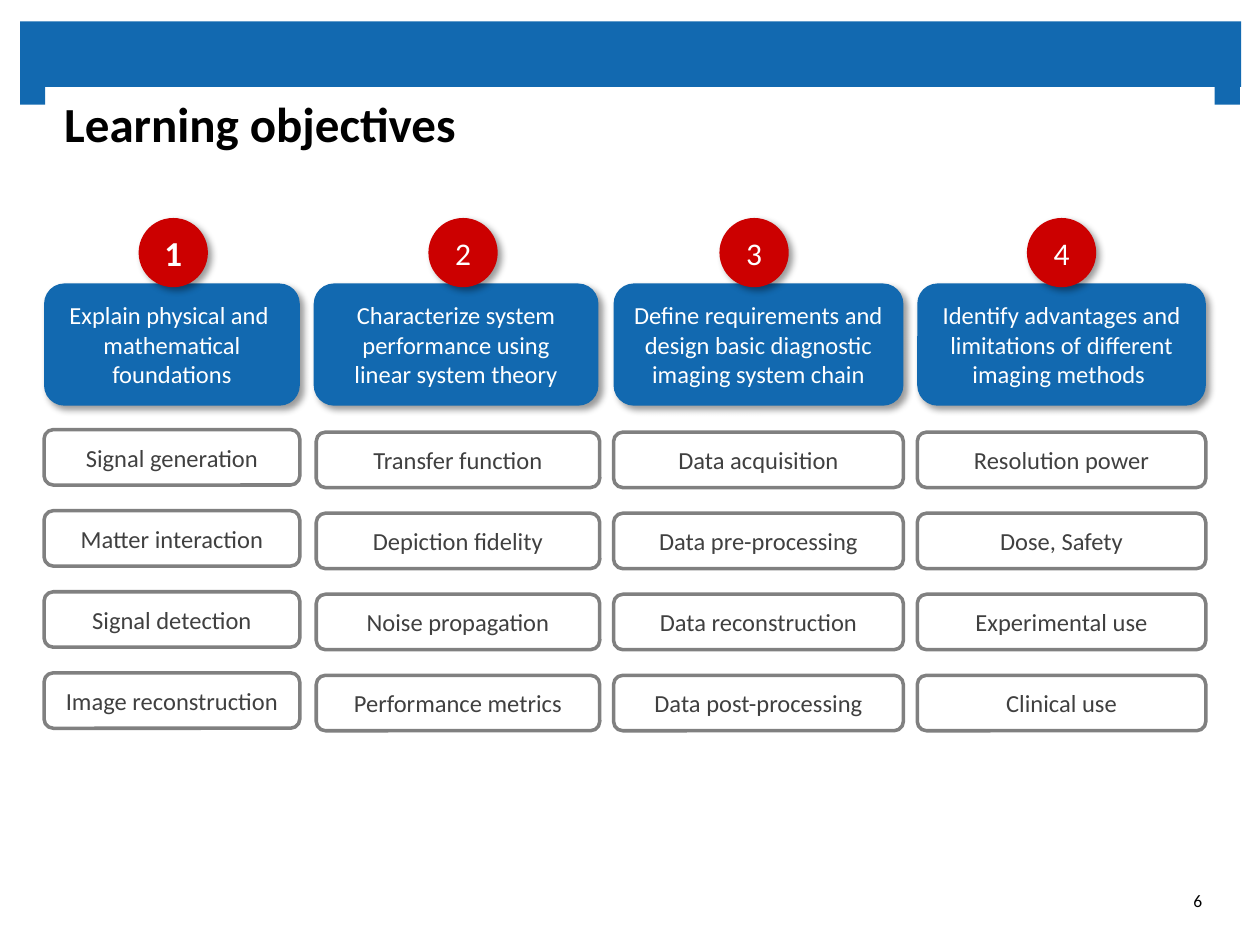
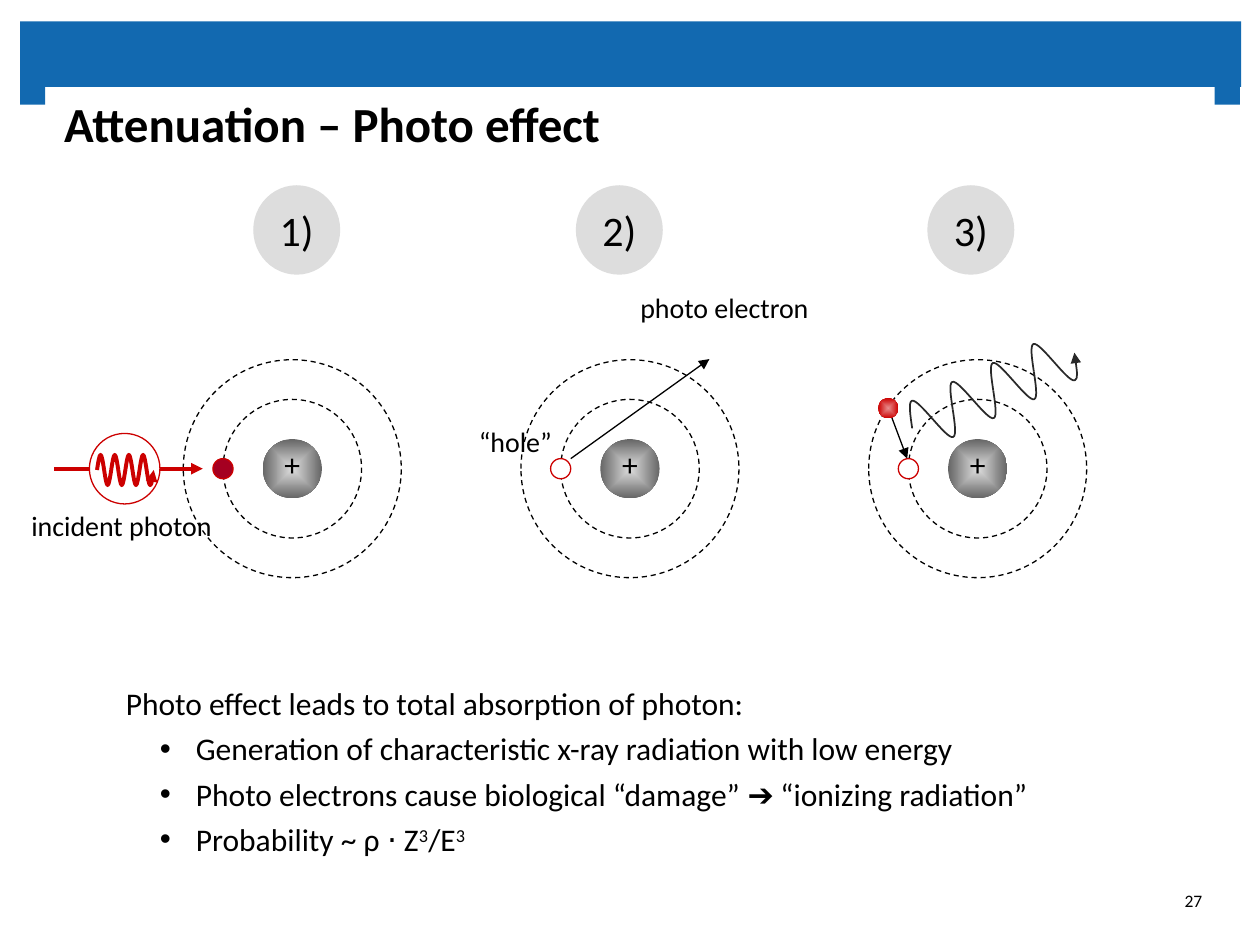
from dataclasses import dataclass
from math import cos, radians, sin

from lxml.etree import SubElement
from pptx import Presentation
from pptx.dml.color import RGBColor
from pptx.enum.dml import MSO_LINE
from pptx.enum.shapes import MSO_CONNECTOR, MSO_SHAPE as Preset
from pptx.enum.text import MSO_ANCHOR as Anchor, PP_ALIGN as Align
from pptx.oxml.ns import qn
from pptx.util import Inches, Pt


@dataclass(frozen=True)
class Theme:
    font: str = "Calibri"
    blue: str = "1269B0"
    red: str = "CC0000"
    dark_red: str = "A50021"
    pink: str = "E88E8E"
    white: str = "FFFFFF"
    black: str = "000000"
    ink: str = "292929"
    text_gray: str = "404040"
    border_gray: str = "808080"
    light_gray: str = "DDDDDD"
    dark_gray: str = "666666"
    title: int = 28
    step: int = 24
    first_badge: int = 20
    body: int = 18
    label: int = 16
    box: int = 14
    page: int = 10


theme = Theme()
color = RGBColor.from_string


def add_block(slide, kind, box, text="", size=theme.box, ink=theme.black, fill=None,
              line=None, width=0.75, bold=False, shadow=False,
              align=Align.CENTER, anchor=Anchor.MIDDLE):
    """Add a preset shape, or a text box when kind is None; two fills make a gradient."""
    box = [Inches(value) for value in box]
    if kind is None:
        shape = slide.shapes.add_textbox(*box)
    else:
        shape = slide.shapes.add_shape(kind, *box)
        shape.shadow.inherit = False
        if fill is None:
            shape.fill.background()
        elif isinstance(fill, tuple):
            shape.fill.gradient()
            for stop, position, value in zip(shape.fill.gradient_stops, (0, 1), fill):
                stop.position = position
                stop.color.rgb = color(value)
            gradient = shape._element.spPr.find(qn("a:gradFill"))
            gradient.remove(gradient.find(qn("a:lin")))
            center = SubElement(gradient, qn("a:path"), {"path": "shape"})
            SubElement(center, qn("a:fillToRect"), dict.fromkeys("ltrb", "50000"))
        else:
            shape.fill.solid()
            shape.fill.fore_color.rgb = color(fill)
        if line:
            shape.line.color.rgb = color(line)
            shape.line.width = Pt(width)
        else:
            shape.line.fill.background()
        if shadow:
            effects = shape._element.spPr.find(qn("a:effectLst"))
            outer = SubElement(effects, qn("a:outerShdw"), {
                "blurRad": str(Pt(4)), "dist": str(Pt(3)), "dir": str(45 * 60000),
                "algn": "tl", "rotWithShape": "0"})
            tint = SubElement(outer, qn("a:srgbClr"), {"val": theme.black})
            SubElement(tint, qn("a:alpha"), {"val": "40000"})
    if text:
        frame = shape.text_frame
        frame.word_wrap = True
        frame.vertical_anchor = anchor
        if kind == Preset.OVAL:
            frame.margin_left = frame.margin_right = 0
        frame.text = text
        for paragraph in frame.paragraphs:
            paragraph.alignment = align
            for run in paragraph.runs:
                run.font.name = theme.font
                run.font.size = Pt(size)
                run.font.bold = bold
                run.font.color.rgb = color(ink)
    return shape


def style_line(shape, ink=theme.black, width=0.75, arrow=True):
    """Colour a connector or open curve, without shadow, with an arrowhead if wanted."""
    shape.line.color.rgb = color(ink)
    shape.line.width = Pt(width)
    if arrow:
        SubElement(shape.line._get_or_add_ln(), qn("a:tailEnd"), {"type": "triangle"})
    SubElement(shape._element.spPr, qn("a:effectLst"))


presentation = Presentation()
presentation.slide_width = Inches(10)
presentation.slide_height = Inches(7.5)

# Shared frame: blue band with two feet, title, page number
slides = []
for title, page in (("Learning objectives", "6"), ("Attenuation – Photo effect", "27")):
    slide = presentation.slides.add_slide(presentation.slide_layouts[6])
    slides.append(slide)
    for band in ((0.16, 0.17, 9.69, 0.52), (0.16, 0.65, 0.2, 0.18), (9.64, 0.65, 0.2, 0.18)):
        add_block(slide, Preset.RECTANGLE, band, fill=theme.blue)
    heading = add_block(slide, None, (0.35, 0.68, 9.29, 0.64), title, theme.title,
                        bold=True, align=Align.LEFT, anchor=Anchor.TOP)
    heading.text_frame.margin_left = heading.text_frame.margin_right = Inches(0.16)
    heading.text_frame.margin_top = Inches(0.06)
    heading.text_frame.margin_bottom = 0
    add_block(slide, None, (7.39, 6.95, 2.25, 0.4), page, theme.page, align=Align.RIGHT)
objectives_slide, photo_slide = slides

# Objectives: goal left and width, topic left, width and top, badge left, goal, topics
objectives = [
    (0.35, 2.03, 0.35, 2.03, 3.41, 1.1, "Explain physical and \vmathematical foundations",
     ["Signal generation", "Matter interaction", "Signal detection", "Image reconstruction"]),
    (2.49, 2.26, 2.51, 2.25, 3.43, 3.4,
     "Characterize system performance using linear system theory",
     ["Transfer function", "Depiction fidelity", "Noise propagation", "Performance metrics"]),
    (4.87, 2.3, 4.87, 2.3, 3.43, 5.71,
     "Define requirements and design basic diagnostic imaging system chain",
     ["Data acquisition", "Data pre-processing", "Data reconstruction", "Data post-processing"]),
    (7.28, 2.29, 7.28, 2.29, 3.43, 8.15,
     "Identify advantages and limitations of different imaging methods ",
     ["Resolution power", "Dose, Safety", "Experimental use", "Clinical use"]),
]
topic_pitch = 1.93 / 3
for number, objective in enumerate(objectives, 1):
    goal_left, goal_width, left, width, top, badge_left, goal, topics = objective
    add_block(objectives_slide, Preset.ROUNDED_RECTANGLE, (goal_left, 2.25, goal_width, 0.97),
              goal, ink=theme.white, fill=theme.blue, shadow=True)
    for row, topic in enumerate(topics):
        add_block(objectives_slide, Preset.ROUNDED_RECTANGLE,
                  (left, top + row * topic_pitch, width, 0.44), topic, ink=theme.text_gray,
                  fill=theme.white, line=theme.border_gray, width=2)
    first = number == 1
    add_block(objectives_slide, Preset.OVAL, (badge_left, 1.73, 0.55, 0.55), str(number),
              theme.first_badge if first else theme.body, theme.white, theme.red,
              bold=first, shadow=True)

# Three atoms: nucleus, dashed shells, inner electron or hole, step number
atom_y = 3.72
atoms = [(2.32, 2.01, theme.dark_red), (5, 4.57, theme.white), (7.76, 7.36, theme.white)]
for number, (atom_x, step_left, electron_fill) in enumerate(atoms, 1):
    circles = [
        (0, 0.47, dict(fill=(theme.light_gray, theme.dark_gray))),
        (0, 1.1, dict(line=theme.black)),
        (0, 1.73, dict(line=theme.black)),
        (-0.55, 0.16, dict(fill=electron_fill, line=theme.red)),
    ]
    for offset, size, style in circles:
        circle = add_block(photo_slide, Preset.OVAL,
                           (atom_x + offset - size / 2, atom_y - size / 2, size, size), **style)
        if "fill" not in style:
            circle.line.dash_style = MSO_LINE.DASH
    add_block(photo_slide, None, (atom_x - 0.55, 3.48, 1.1, 0.43), "+", theme.body,
              anchor=Anchor.TOP)
    add_block(photo_slide, Preset.OVAL, (step_left, 1.47, 0.69, 0.71), f"{number})",
              theme.step, fill=theme.light_gray)

# Paths of the photo electron, the refilling electron and the incident photon
for start_x, start_y, end_x, end_y, ink, width in (
        (4.53, 3.64, 5.63, 2.85, theme.black, 0.75),
        (7.05, 3.24, 7.2, 3.64, theme.black, 0.75),
        (0.43, atom_y, 1.61, atom_y, theme.red, 2.25)):
    connector = photo_slide.shapes.add_connector(
        MSO_CONNECTOR.STRAIGHT, Inches(start_x), Inches(start_y), Inches(end_x), Inches(end_y))
    style_line(connector, ink, width)
add_block(photo_slide, Preset.OVAL, (6.97, 3.16, 0.16, 0.16), fill=(theme.pink, theme.red))
add_block(photo_slide, Preset.OVAL, (0.71, 3.44, 0.56, 0.56), fill=theme.white, line=theme.red)

# Photon waves of eight half waves: start, length, height, angle, colour, line width
half_waves = 8
half_wave = [(0, 0), (1, 0.5), (2, 1), (3, 1), (4, 1), (5, 0.5), (6, 0)]
waves = [(7.24, 3.4, 1.42, 0.2, -25, theme.ink, 1),
         (0.77, 3.73, 0.45, 0.12, 0, theme.red, 2.25)]
for start_x, start_y, length, height, angle, ink, width in waves:
    turn = radians(angle)
    step = length / half_waves
    for index in range(half_waves):
        swing = height if index % 2 else -height
        along, across = (index + 0.5) * step, swing / 2
        center_x = start_x + along * cos(turn) - across * sin(turn)
        center_y = start_y + along * sin(turn) + across * cos(turn)
        points = [(Inches(center_x + (x / 6 - 0.5) * step),
                   Inches(center_y + (y - 0.5) * swing)) for x, y in half_wave]
        builder = photo_slide.shapes.build_freeform(*points[0])
        builder.add_line_segments(points[1:], close=False)
        curve = builder.convert_to_shape()
        curve.fill.background()
        curve.rotation = angle
        # Turn each three straight segments into one cubic curve
        segments = list(curve._element.iter(qn("a:lnTo")))
        outline = segments[0].getparent()
        for first in (0, 3):
            cubic = SubElement(outline, qn("a:cubicBezTo"))
            for segment in segments[first:first + 3]:
                cubic.append(segment[0])
                outline.remove(segment)
        style_line(curve, ink, width, arrow=index == half_waves - 1)

# Labels
for left, top, width, label in ((4.61, 2.26, 2.28, "photo electron"),
                                (2.95, 3.32, 2.28, "“hole”"),
                                (0, 3.99, 1.93, "incident photon")):
    add_block(photo_slide, None, (left, top, width, 0.37), label, theme.label,
              anchor=Anchor.TOP)

# Summary with bullets
summary = add_block(
    photo_slide, None, (0.9, 5.32, 8.58, 1.58),
    "Photo effect leads to total absorption of photon:\n"
    " Generation of characteristic x-ray radiation with low energy\n"
    " Photo electrons cause biological “damage” ➔ “ionizing radiation”\n"
    " Probability ~ ρ ⋅ Z",
    theme.body, align=Align.LEFT, anchor=Anchor.TOP)
paragraphs = summary.text_frame.paragraphs
for paragraph in paragraphs:
    paragraph.line_spacing = 1.2
for paragraph in paragraphs[1:]:
    paragraph.level = 1
    properties = paragraph._p.get_or_add_pPr()
    properties.set("marL", str(Inches(0.5)))
    properties.set("indent", str(-Inches(0.23)))
    SubElement(properties, qn("a:buFont"), {"typeface": "Arial"})
    SubElement(properties, qn("a:buChar"), {"char": "•"})
for text, baseline in (("3", 30000), ("/E", 0), ("3", 30000)):
    run = paragraphs[-1].add_run()
    run.text = text
    run.font.name = theme.font
    run.font.size = Pt(theme.body)
    run.font.color.rgb = color(theme.black)
    run._r.get_or_add_rPr().set("baseline", str(baseline))

presentation.save("out.pptx")
